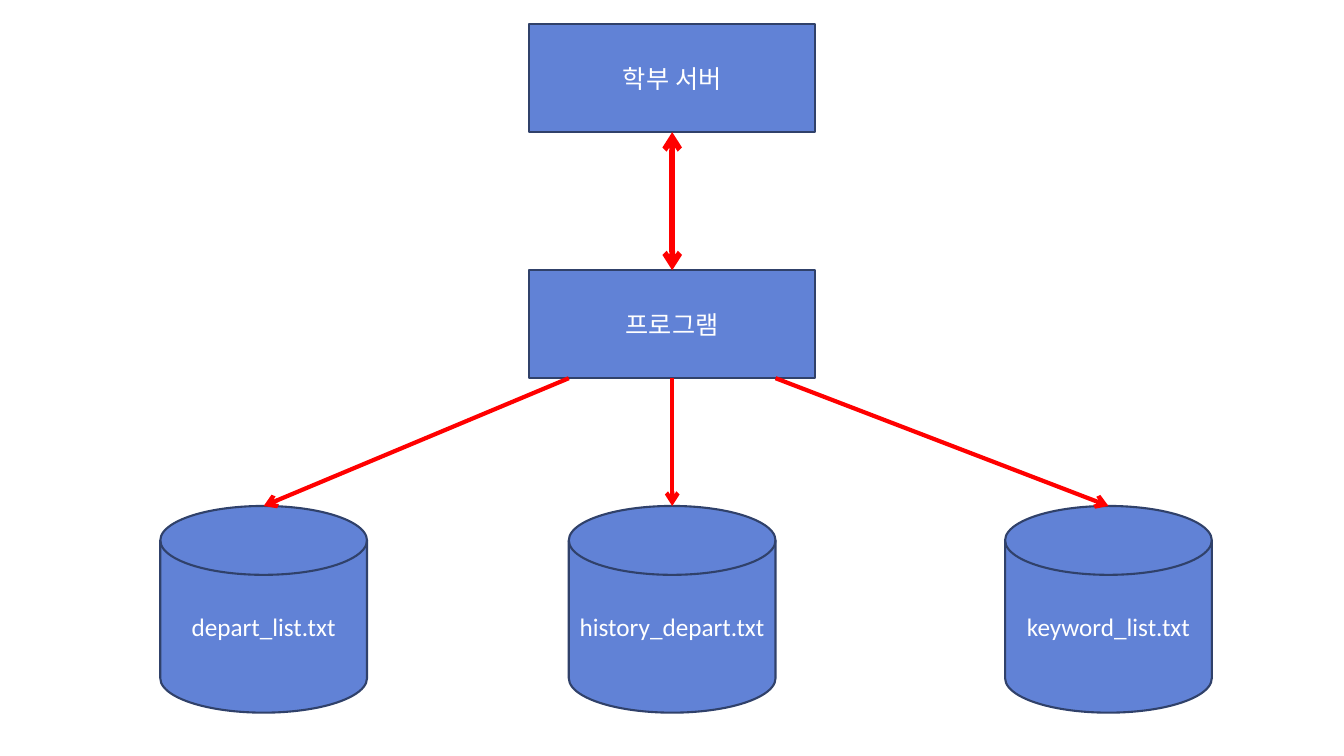
from pptx import Presentation
from pptx.dml.color import RGBColor
from pptx.enum.shapes import MSO_CONNECTOR, MSO_SHAPE
from pptx.enum.text import MSO_ANCHOR, PP_ALIGN
from pptx.oxml.ns import qn
from pptx.util import Cm, Pt
from lxml.etree import SubElement


def rgb(value):
    return RGBColor.from_string(value)


class Diagram:
    """Draws the nodes and arrows of a slide in one style."""

    FILL, EDGE, ARROW = "6182D6", "30416A", "FF0000"
    FONT = {"name": "Calibri", "size": Pt(18)}
    FRAME = {"word_wrap": True, "vertical_anchor": MSO_ANCHOR.MIDDLE,
             "margin_left": Cm(0.1), "margin_right": Cm(0.1)}

    def __init__(self, slide):
        self.s = slide

    def node(self, kind, text, left, top, width, height):
        sp = self.s.shapes.add_shape(kind, Cm(left), Cm(top), Cm(width), Cm(height))
        sp.shadow.inherit = False
        sp.fill.solid()
        sp.fill.fore_color.rgb = rgb(self.FILL)
        sp.line.color.rgb = rgb(self.EDGE)
        sp.line.width = Pt(1.5)
        tf = sp.text_frame
        for name, value in self.FRAME.items():
            setattr(tf, name, value)
        p = tf.paragraphs[0]
        p.alignment = PP_ALIGN.CENTER
        r = p.add_run()
        r.text = text
        for name, value in self.FONT.items():
            setattr(r.font, name, value)
        r.font.color.rgb = rgb("FFFFFF")
        return sp

    def arrow(self, x1, y1, x2, y2, width=3, ends=("tailEnd",)):
        cxn = self.s.shapes.add_connector(
            MSO_CONNECTOR.STRAIGHT, Cm(x1), Cm(y1), Cm(x2), Cm(y2))
        cxn.line.color.rgb = rgb(self.ARROW)
        cxn.line.width = Pt(width)
        ln = cxn.line._get_or_add_ln()
        for end in ends:
            SubElement(ln, qn(f"a:{end}"), type="arrow")
        SubElement(cxn._element.spPr, qn("a:effectLst"))
        return cxn


def main():
    prs = Presentation()
    prs.slide_width, prs.slide_height = Cm(33.87), Cm(19.05)
    d = Diagram(prs.slides.add_slide(prs.slide_layouts[6]))

    box_w, box_h, center = 7.2, 2.72, 16.94
    server_y, program_y = 0.61, 6.81
    disk_size, disk_y = 5.21, 12.75
    program_bottom = program_y + box_h
    files = [("depart_list.txt", 4.04, center - disk_size / 2),
             ("history_depart.txt", center - disk_size / 2, center),
             ("keyword_list.txt", 25.33, center + disk_size / 2)]

    server, program = [
        d.node(MSO_SHAPE.RECTANGLE, text, center - box_w / 2, y, box_w, box_h)
        for text, y in (("학부 서버", server_y), ("프로그램", program_y))]
    link = d.arrow(center, server_y + box_h, center, program_y, 4,
                   ("headEnd", "tailEnd"))
    link.begin_connect(server, 2)
    link.end_connect(program, 0)

    for name, left, start in files:
        d.node(MSO_SHAPE.FLOWCHART_MAGNETIC_DISK, name,
               left, disk_y, disk_size, disk_size)
        cxn = d.arrow(start, program_bottom, left + disk_size / 2, disk_y)
        if start == center:
            cxn.begin_connect(program, 2)

    prs.save("out.pptx")


if __name__ == "__main__":
    main()
